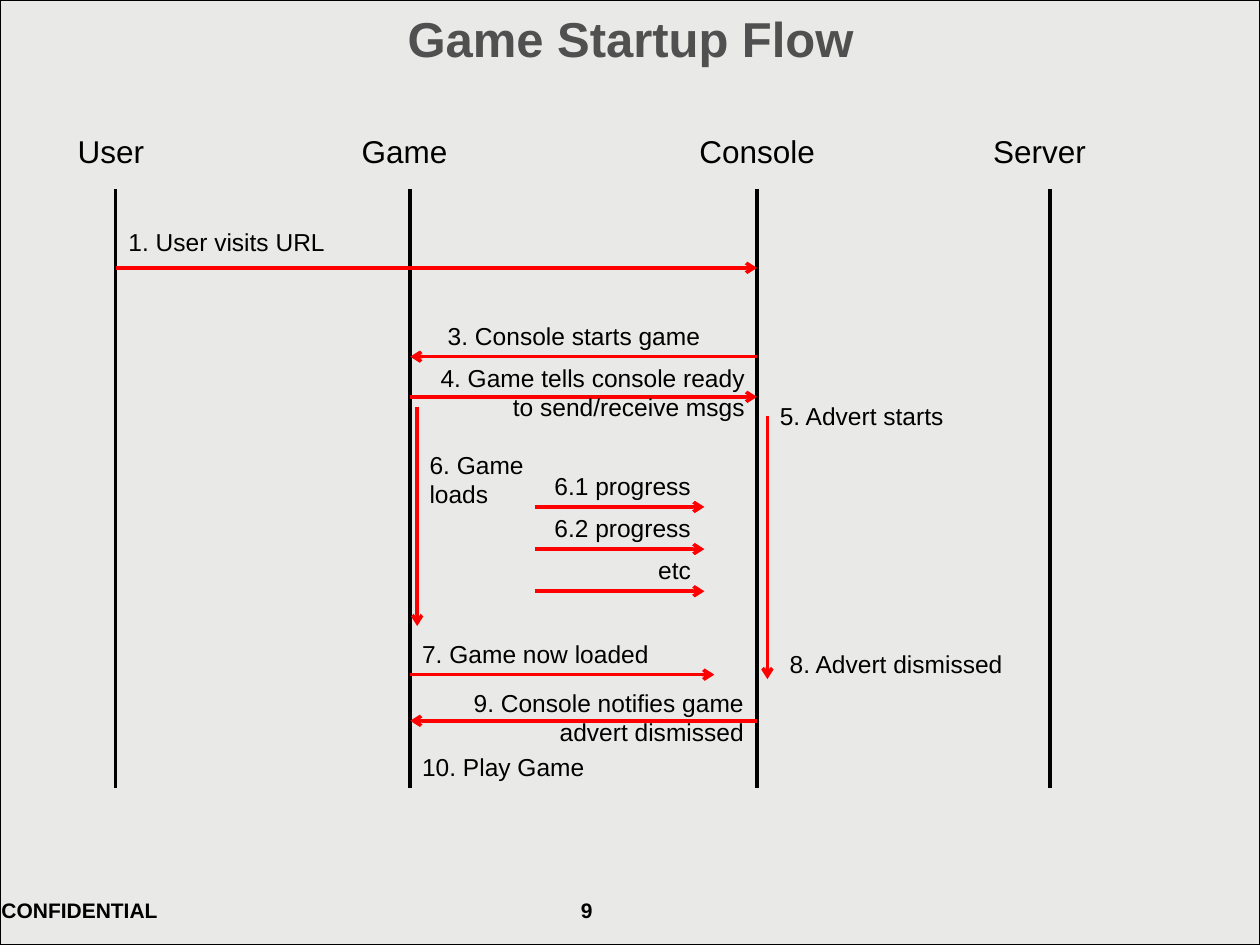
from lxml import etree
from pptx import Presentation
from pptx import util as u
from pptx.dml.color import RGBColor
from pptx.enum import shapes, text
from pptx.oxml.ns import qn

BLACK = RGBColor(0x00, 0x00, 0x00)
RED = RGBColor(0xFF, 0x00, 0x00)
TITLE_GREY = RGBColor(0x50, 0x50, 0x50)
BACKGROUND = RGBColor(0xE9, 0xEA, 0xE8)
LEFT, CENTER, RIGHT = text.PP_ALIGN.LEFT, text.PP_ALIGN.CENTER, text.PP_ALIGN.RIGHT


def write(shape, wording, size, align=LEFT, color=BLACK, bold=False):
    frame = shape.text_frame
    frame.text = wording
    frame.word_wrap = True
    frame.auto_size = text.MSO_AUTO_SIZE.NONE
    frame.vertical_anchor = text.MSO_ANCHOR.TOP
    paragraph = frame.paragraphs[0]
    paragraph.alignment = align
    font = paragraph.runs[0].font
    font.name, font.size, font.bold = "Arial", u.Pt(size), bold
    font.color.rgb = color


def draw_line(x1, y1, x2, y2, color, arrow=False):
    connector = slide.shapes.add_connector(
        shapes.MSO_CONNECTOR.STRAIGHT, u.Cm(x1), u.Cm(y1), u.Cm(x2), u.Cm(y2))
    connector.line.color.rgb = color
    connector.line.width = u.Pt(2)
    if arrow:
        outline = connector.line._get_or_add_ln()
        etree.SubElement(outline, qn("a:tailEnd"), type="arrow")
    etree.SubElement(connector._element.spPr, qn("a:effectLst"))


presentation = Presentation()
presentation.slide_width, presentation.slide_height = u.Cm(25.4), u.Cm(19.05)
slide = presentation.slides.add_slide(presentation.slide_layouts[5])

title = slide.shapes.title
title.left, title.top, title.width, title.height = u.Cm(0.43), u.Cm(0.05), u.Cm(24.56), u.Cm(2.36)
write(title, "Game Startup Flow", 28, CENTER, TITLE_GREY, True)

panel = slide.shapes.add_shape(
    shapes.MSO_SHAPE.RECTANGLE, 0, 0, presentation.slide_width, presentation.slide_height)
panel.shadow.inherit = False
panel.fill.solid()
panel.fill.fore_color.rgb = BACKGROUND
panel.line.color.rgb = BLACK
panel.line.width = u.Pt(0.75)
title.element.addprevious(panel.element)

for wording, left, width in [("9", 11.43, 2.46), ("CONFIDENTIAL", -0.25, 4.98)]:
    footer = slide.shapes.add_textbox(u.Cm(left), u.Cm(17.93), u.Cm(width), u.Cm(1.5))
    footer.text_frame.margin_left = footer.text_frame.margin_right = u.Cm(0.28)
    footer.text_frame.margin_top = footer.text_frame.margin_bottom = u.Cm(0.16)
    write(footer, wording, 12, bold=True)

USER, GAME, CONSOLE, SERVER = 2.33, 8.27, 15.26, 21.17
participants = [
    ("User", USER, 0.43, 3.61),
    ("Game", GAME, 6.35, 3.61),
    ("Console", CONSOLE, 13.36, 3.81),
    ("Server", SERVER, 19.05, 3.81),
]
for name, lifeline, left, width in participants:
    heading = slide.shapes.add_textbox(u.Cm(left), u.Cm(2.54), u.Cm(width), u.Cm(1.02))
    write(heading, name, 18, CENTER)
    draw_line(lifeline, 3.81, lifeline, 15.88, BLACK)

PROGRESS_LEFT, PROGRESS_RIGHT, PROGRESS_TOP, PROGRESS_STEP = 10.78, 14.2, 9.37, 0.85
arrows = [
    (USER, 5.4, CONSOLE, 5.4),
    (CONSOLE, 7.19, GAME, 7.19),
    (GAME, 8.0, CONSOLE, 8.0),
    (8.41, 8.2, 8.41, 12.62),
    (15.47, 8.38, 15.47, 13.69),
    (GAME, 13.6, 14.4, 13.6),
    (CONSOLE, 14.53, GAME, 14.53),
]
labels = [
    ("1. User visits URL", 2.34, 4.45, 5.92, 0.85, LEFT),
    ("3. Console starts game", 7.82, 6.35, 6.55, 0.85, RIGHT),
    ("4. Game tells console ready to send/receive msgs", 8.28, 7.19, 6.99, 1.44, RIGHT),
    ("5. Advert starts", 15.47, 7.95, 3.81, 1.44, LEFT),
    ("6. Game loads", 8.41, 8.94, 2.74, 1.44, LEFT),
    ("7. Game now loaded", 8.26, 12.75, 6.15, 0.85, LEFT),
    ("8. Advert dismissed", 15.67, 12.95, 5.51, 0.85, LEFT),
    ("9. Console notifies game advert dismissed", 8.26, 13.74, 6.99, 1.44, RIGHT),
    ("10. Play Game", 8.26, 15.04, 5.51, 0.85, LEFT),
]
for index, wording in enumerate(["6.1 progress", "6.2 progress", "etc"]):
    top = PROGRESS_TOP + index * PROGRESS_STEP
    bottom = top + PROGRESS_STEP
    arrows.append((PROGRESS_LEFT, bottom, PROGRESS_RIGHT, bottom))
    labels.append((wording, PROGRESS_LEFT, top, 3.4, PROGRESS_STEP, RIGHT))

for x1, y1, x2, y2 in arrows:
    draw_line(x1, y1, x2, y2, RED, arrow=True)

for wording, left, top, width, height, align in labels:
    label = slide.shapes.add_textbox(u.Cm(left), u.Cm(top), u.Cm(width), u.Cm(height))
    write(label, wording, 14, align)

presentation.save("out.pptx")
